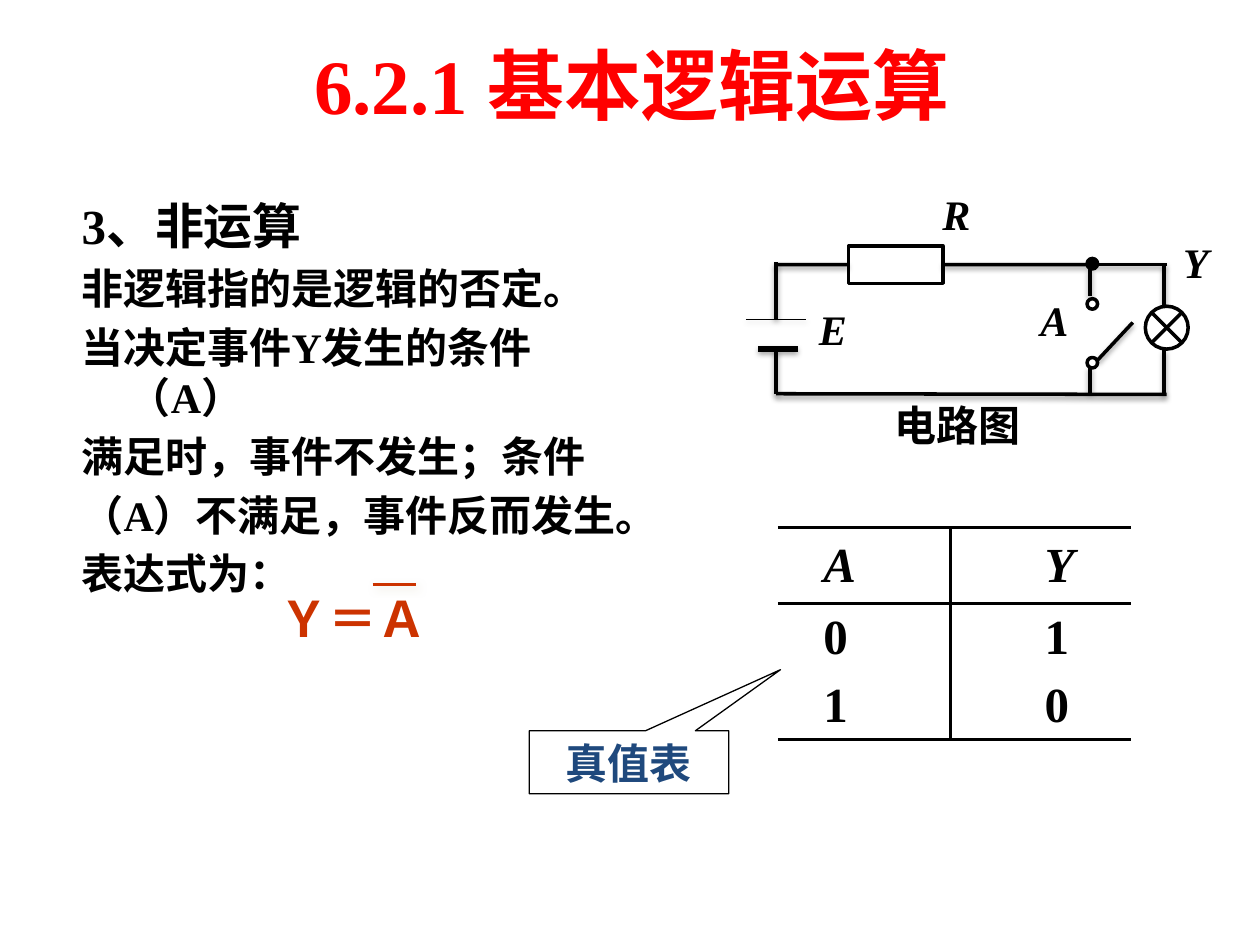
from lxml.etree import SubElement
from pptx import Presentation
from pptx.dml.color import RGBColor
from pptx.enum.shapes import MSO_CONNECTOR, MSO_SHAPE
from pptx.enum.text import MSO_ANCHOR, PP_ALIGN
from pptx.oxml import parse_xml
from pptx.oxml.ns import nsdecls, qn
from pptx.util import Pt

COLORS = {"ink": "000000", "paper": "FFFFFF", "title": "FF0000",
          "formula": "CC3300", "note": "1F497D", "glow": "EEECE1"}
SHADOWS = {
    "wire": {"blur": 3.1, "dist": 1.6, "dir": 90, "color": "ink", "alpha": 38},
    "bar": {"blur": 5, "dist": 3, "dir": 45, "color": "glow", "alpha": 75},
}


def write(para, text, size, color="ink", **style):
    """Put one bold run in a paragraph; style may override font values."""
    run = para.add_run()
    run.text = text
    look = {"name": "Times New Roman", "size": Pt(size), "bold": True, **style}
    for key, value in look.items():
        setattr(run.font, key, value)
    run.font.color.rgb = RGBColor.from_string(COLORS[color])


def draw_line(start, end, width=2, color="ink", shadow="wire"):
    """Draw a straight line with a soft shadow between two points."""
    line = slide.shapes.add_connector(
        MSO_CONNECTOR.STRAIGHT, *[Pt(v) for v in (*start, *end)])
    line.line.width = Pt(width)
    line.line.color.rgb = RGBColor.from_string(COLORS[color])
    cast = SHADOWS[shadow]
    line._element.spPr.append(parse_xml(
        f'<a:effectLst {nsdecls("a")}><a:outerShdw blurRad="{Pt(cast["blur"])}" '
        f'dist="{Pt(cast["dist"])}" dir="{cast["dir"] * 60000}" rotWithShape="0">'
        f'<a:srgbClr val="{COLORS[cast["color"]]}">'
        f'<a:alpha val="{cast["alpha"] * 1000}"/></a:srgbClr>'
        '</a:outerShdw></a:effectLst>'))
    return line


prs = Presentation()
prs.slide_width, prs.slide_height = Pt(720), Pt(540)
slide = prs.slides.add_slide(prs.slide_layouts[5])

# Title
title = slide.shapes.title
place = {"left": 25, "top": 18, "width": 672.5, "height": 90}
for key, value in place.items():
    setattr(title, key, Pt(value))
title.text_frame.vertical_anchor = MSO_ANCHOR.TOP
title.text_frame.paragraphs[0].alignment = PP_ALIGN.CENTER
write(title.text_frame.paragraphs[0], "6.2.1 基本逻辑运算", 44, "title")

# Explanation with hanging indents
body = slide.shapes.add_textbox(Pt(39.6), Pt(108), Pt(324), Pt(354)).text_frame
body.word_wrap = True
lines = ["3、非运算", "非逻辑指的是逻辑的否定。", "当决定事件Y发生的条件（A）",
         "满足时，事件不发生；条件", "（A）不满足，事件反而发生。", "表达式为："]
for i, text in enumerate(lines):
    para = body.add_paragraph() if i else body.paragraphs[0]
    para._p.get_or_add_pPr().set("marL", str(Pt(27)))
    para._p.get_or_add_pPr().set("indent", str(Pt(-27)))
    if i:
        para.space_before = Pt(4.8)
    write(para, text, 24 if i else 28)

# Formula with its negation bar
formula = slide.shapes.add_textbox(Pt(150.5), Pt(332.6), Pt(102), Pt(41)).text_frame
formula.word_wrap = True
formula.margin_left = formula.margin_right = 0
formula.paragraphs[0].alignment = PP_ALIGN.CENTER
write(formula.paragraphs[0], "Ｙ＝Ａ", 28, "formula")
draw_line((213, 334), (237.5, 334), 2.25, "formula", "bar")

# Circuit: wires, battery plates and switch blade
wires = [
    ((665.3, 152), (665.3, 177)),
    ((665.3, 200.2), (665.3, 225.4)),
    ((627, 206), (647.3, 184.3)),
    ((443.5, 225), (666.7, 225.4)),
    ((622.8, 151.2), (666.7, 151.2)),
    ((443.5, 150), (443.5, 182.2)),
    ((443.5, 200.2), (443.5, 225.4)),
    ((622.8, 153.4), (622.8, 169.2)),
    ((622.8, 209.5), (622.8, 224.6)),
    ((426.2, 182.6), (460.8, 182.6), 0.25),
    ((433.4, 199.4), (455.8, 199.4), 3),
]
for wire in wires:
    draw_line(*wire)

# Circuit parts and the callout
parts = {
    "contact": (MSO_SHAPE.OVAL, 621.2, 204.3, 6, 6, "paper", 2),
    "pole": (MSO_SHAPE.OVAL, 621.2, 170.7, 6, 6, "paper", 2),
    "node": (MSO_SHAPE.OVAL, 621.2, 147.7, 6, 6, "ink", 2),
    "lamp": (MSO_SHAPE.FLOWCHART_SUMMING_JUNCTION, 654.5, 175, 24.5, 24.5, "paper", 2),
    "resistor": (MSO_SHAPE.RECTANGLE, 484.8, 140.5, 54, 21.4, "paper", 2),
    "callout": (MSO_SHAPE.RECTANGULAR_CALLOUT, 302.4, 417.6, 114, 36, "paper", 0.75),
}
made = {}
for name, (kind, x, y, w, h, fill, width) in parts.items():
    shape = slide.shapes.add_shape(kind, Pt(x), Pt(y), Pt(w), Pt(h))
    shape.shadow.inherit = False
    shape.fill.solid()
    shape.fill.fore_color.rgb = RGBColor.from_string(COLORS[fill])
    shape.line.color.rgb = RGBColor.from_string(COLORS["ink"])
    shape.line.width = Pt(width)
    made[name] = shape

draw_line((443.5, 151.2), (484.8, 151.2)).end_connect(made["resistor"], 1)
draw_line((538.8, 151.2), (622.8, 151.2)).begin_connect(made["resistor"], 3)

callout = made["callout"]
callout.adjustments[0], callout.adjustments[1] = 0.76, -1.47
callout.text_frame.vertical_anchor = MSO_ANCHOR.MIDDLE
callout.text_frame.paragraphs[0].alignment = PP_ALIGN.CENTER
write(callout.text_frame.paragraphs[0], "真值表", 24, "note", name="Arial")

# Circuit labels
labels = [("A", 587.5, 165, 30, True), ("E", 460.8, 170, 39, True),
          ("R", 531.4, 104.4, 30, True), ("Y", 669, 131.8, 30, True),
          ("电路图", 504, 224.6, 112, False)]
for text, x, y, w, slant in labels:
    frame = slide.shapes.add_textbox(Pt(x), Pt(y), Pt(w), Pt(36)).text_frame
    frame.word_wrap = True
    write(frame.paragraphs[0], text, 24, italic=slant)

# Truth table, ruled only at the chosen row and column edges
rows = ["AY", "01", "10"]
table = slide.shapes.add_table(3, 2, Pt(444.5), Pt(301.7), Pt(202), Pt(121)).table
table.first_row = table.horz_banding = False
for row, height in zip(table.rows, (43.2, 38.9, 38.9)):
    row.height = Pt(height)
for col, width in zip(table.columns, (98.5, 103.5)):
    col.width = Pt(width)
for r, row in enumerate(rows):
    for c, text in enumerate(row):
        cell = table.cell(r, c)
        look = {"margin_left": Pt((26, 54)[c]), "margin_right": 0, "margin_top": 0,
                "margin_bottom": 0, "vertical_anchor": MSO_ANCHOR.MIDDLE}
        for key, value in look.items():
            setattr(cell, key, value)
        props = cell._tc.get_or_add_tcPr()
        edges = {"lnL": c == 1, "lnR": c == 0, "lnT": r < 2, "lnB": r != 1}
        for tag, ruled in edges.items():
            edge = SubElement(props, qn(f"a:{tag}"), w=str(Pt(2)))
            if ruled:
                fill = SubElement(edge, qn("a:solidFill"))
                SubElement(fill, qn("a:srgbClr"), val=COLORS["ink"])
            else:
                SubElement(edge, qn("a:noFill"))
        cell.fill.background()
        write(cell.text_frame.paragraphs[0], text, 28, italic=r == 0)

prs.save("out.pptx")
